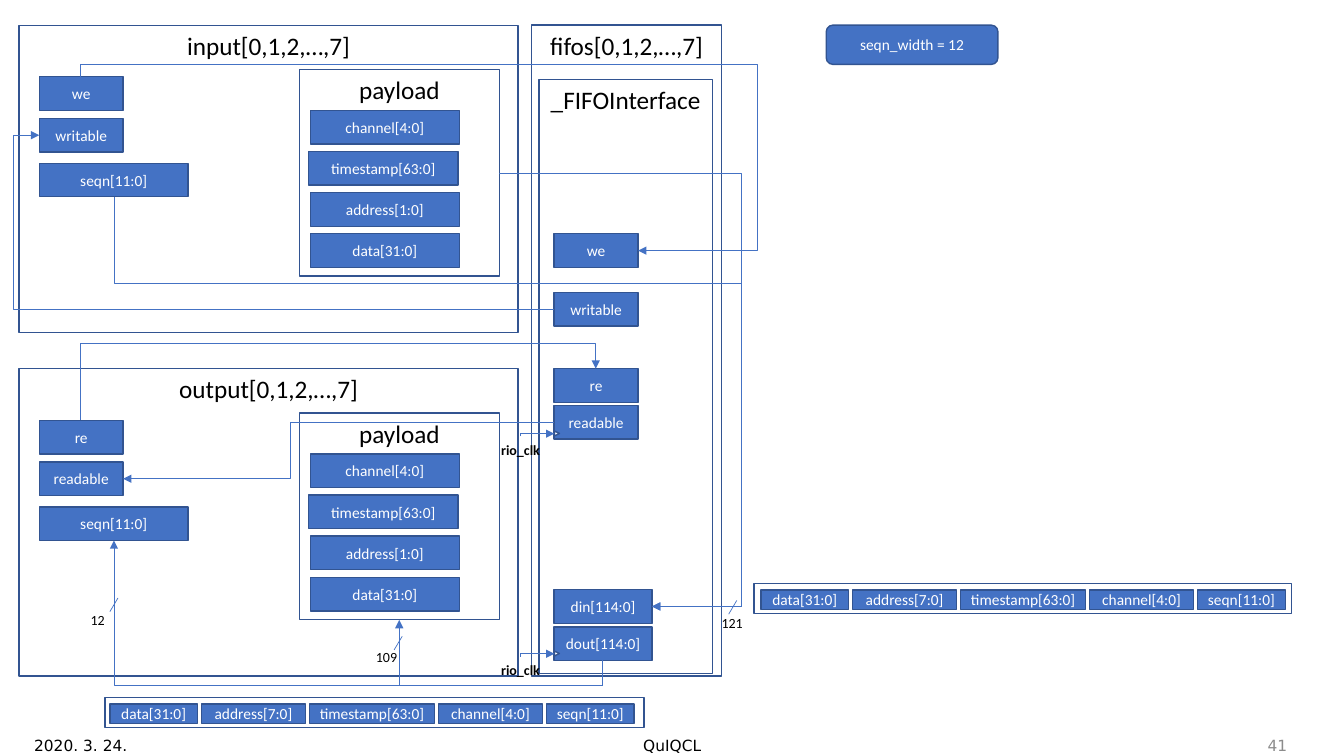
import lxml.etree
import pptx
import pptx.dml.color
import pptx.enum.shapes
import pptx.enum.text
import pptx.oxml.ns
import pptx.util

Pt = pptx.util.Pt
ALIGN = pptx.enum.text.PP_ALIGN
ANCHOR = pptx.enum.text.MSO_ANCHOR
SHAPE = pptx.enum.shapes.MSO_SHAPE
CONNECTOR = pptx.enum.shapes.MSO_CONNECTOR
qn = pptx.oxml.ns.qn

COLORS = {"blue": "4472C4", "outline": "325491", "black": "000000",
          "white": "FFFFFF", "gray": "8C8C8C"}


class Diagram:
    font = "Calibri"
    chip_height = 24

    def __init__(self, slide):
        self.slide = slide

    def color(self, name):
        return pptx.dml.color.RGBColor.from_string(COLORS[name])

    def add_text(self, shape, text, size, color, align, bold=False, font=None):
        paragraph = shape.text_frame.paragraphs[0]
        paragraph.alignment = align
        run = paragraph.add_run()
        run.text = text
        run.font.name = font or self.font
        run.font.size = Pt(size)
        run.font.bold = bold
        run.font.color.rgb = self.color(color)

    def box(self, kind, left, top, width, height, fill=None):
        shape = self.slide.shapes.add_shape(kind, Pt(left), Pt(top), Pt(width), Pt(height))
        shape.shadow.inherit = False
        if fill:
            shape.fill.solid()
            shape.fill.fore_color.rgb = self.color(fill)
        else:
            shape.fill.background()
        shape.line.color.rgb = self.color("outline")
        shape.line.width = Pt(1)
        return shape

    def frame(self, left, top, width, height, title=None):
        shape = self.box(SHAPE.RECTANGLE, left, top, width, height)
        shape.text_frame.vertical_anchor = ANCHOR.TOP
        if title:
            self.add_text(shape, title, 18, "black", ALIGN.CENTER)

    def chip(self, text, left, top, width, height=chip_height, kind=SHAPE.RECTANGLE):
        shape = self.box(kind, left, top, width, height, "blue")
        shape.text_frame.vertical_anchor = ANCHOR.MIDDLE
        self.add_text(shape, text, 11, "white", ALIGN.CENTER)

    def label(self, text, left, top, width, height=19.4, size=10, color="black",
              align=ALIGN.LEFT, anchor=ANCHOR.TOP, wrap=False, bold=False, font=None):
        shape = self.slide.shapes.add_textbox(Pt(left), Pt(top), Pt(width), Pt(height))
        shape.text_frame.word_wrap = wrap
        shape.text_frame.vertical_anchor = anchor
        self.add_text(shape, text, size, color, align, bold, font)

    def line(self, kind, start, end):
        connector = self.slide.shapes.add_connector(
            kind, Pt(start[0]), Pt(start[1]), Pt(end[0]), Pt(end[1]))
        connector.line.color.rgb = self.color("blue")
        connector.line.width = Pt(0.5)
        lxml.etree.SubElement(connector._element.spPr, qn("a:effectLst"))
        return connector

    def wire(self, *points):
        (x1, y1), (x2, y2) = points[0], points[-1]
        dx, dy = x2 - x1, y2 - y1
        corners = points[1:-1]
        vertical = corners[0][0] == x1
        if vertical:
            width, height = abs(dy), abs(dx)
            left, top = (x1 + x2 - width) / 2, (y1 + y2 - height) / 2
            connector = self.line(CONNECTOR.ELBOW, (left, top), (left + width, top + height))
            transform = connector._element.spPr.find(qn("a:xfrm"))
            transform.set("rot", "16200000" if dy > 0 else "5400000")
            transform.set("flipH", "1")
            if (dx > 0) != (dy > 0):
                transform.set("flipV", "1")
        else:
            connector = self.line(CONNECTOR.ELBOW, points[0], points[-1])
        geometry = connector._element.spPr.find(qn("a:prstGeom"))
        geometry.set("prst", f"bentConnector{len(corners) + 1}")
        across, down = (corners[0][0] - x1) / dx, (corners[0][1] - y1) / dy
        ratios = [down if vertical else across]
        if len(corners) == 3:
            ratios.append((corners[1][0] - x1) / dx if vertical else (corners[1][1] - y1) / dy)
        if len(corners) > 1:
            guides = geometry.find(qn("a:avLst"))
            for number, ratio in enumerate(ratios, 1):
                lxml.etree.SubElement(guides, qn("a:gd"), name=f"adj{number}",
                                      fmla=f"val {round(ratio * 100000)}")
        outline = connector._element.spPr.find(qn("a:ln"))
        lxml.etree.SubElement(outline, qn("a:tailEnd"), type="triangle")

    def bus_width(self, text, x, y, label_left, label_top, label_width):
        self.line(CONNECTOR.STRAIGHT, (x + 2.9, y - 4.9), (x - 2.9, y + 4.9))
        self.label(text, label_left, label_top, label_width)

    def port_panel(self, title, top, flags):
        self.frame(13.7, top, 356.4, 219.6, title)
        for row, flag in enumerate(flags):
            self.chip(flag, 28, top + 36.8 + 29.8 * row, 60)
        self.chip("seqn[11:0]", 28.3, top + 98.6, 106)
        self.frame(213.8, top + 31.7, 143, 147.6, "payload")
        fields = ["channel[4:0]", "timestamp[63:0]", "address[1:0]", "data[31:0]"]
        for row, field in enumerate(fields):
            left = 220.5 if row == 1 else 221.6
            self.chip(field, left, top + 60.8 + 29.4 * row, 106.6)

    def packet(self, left, top, width, inset):
        self.frame(left, top, width, 21.6)
        x = left + inset
        fields = [("data[31:0]", 62.6), ("address[7:0]", 74.2), ("timestamp[63:0]", 89.3),
                  ("channel[4:0]", 74.2), ("seqn[11:0]", 62.6)]
        for field, field_width in fields:
            self.chip(field, x, top + 4.6, field_width, 13.8)
            x += field_width + 2.9

    def clock(self, top):
        self.label("rio_clk", 339.8, top, 64, align=ALIGN.CENTER, wrap=True, bold=True)
        triangle = self.box(SHAPE.ISOSCELES_TRIANGLE, 396, top - 4, 3.6, 3.6, "white")
        triangle.rotation = 90
        self.wire((371.5, top), (371.5, top - 2), (396, top - 2))


def main():
    presentation = pptx.Presentation()
    presentation.slide_width, presentation.slide_height = Pt(960), Pt(540)
    diagram = Diagram(presentation.slides.add_slide(presentation.slide_layouts[6]))

    diagram.port_panel("input[0,1,2,…,7]", 18, ["we", "writable"])
    diagram.port_panel("output[0,1,2,…,7]", 263.4, ["re", "readable"])
    diagram.chip("seqn_width = 12", 590.2, 18, 122.6, 28, SHAPE.ROUNDED_RECTANGLE)

    diagram.frame(379.6, 18, 136, 465, "fifos[0,1,2,…,7]")
    diagram.frame(385, 57, 123.8, 424, "_FIFOInterface")
    for port, top, width in [("we", 167, 60), ("writable", 209, 60), ("re", 263.4, 60),
                             ("readable", 289.6, 60), ("din[114:0]", 421.2, 70),
                             ("dout[114:0]", 447.8, 70)]:
        diagram.chip(port, 395.8, top, width)
    for top in (311.8, 469):
        diagram.clock(top)

    diagram.packet(538.6, 416.8, 383.8, 5)
    diagram.packet(74.9, 498.2, 385.2, 3.6)

    din, dout = (465.8, 433.2), (430.6, 471.6)
    diagram.wire((81.6, 140.6), (81.6, 202.4), (529.6, 202.4), (529.6, 433.2), din)
    diagram.wire((356.6, 123.8), (529.6, 123.8), (529.6, 433.2), din)
    diagram.wire((395.8, 221), (9.6, 221), (9.6, 96.6), (28, 96.6))
    diagram.wire((57.6, 54.7), (57.6, 46), (541, 46), (541, 179), (455.8, 179))
    diagram.wire(dout, (430.6, 489.6), (285.2, 489.6), (285.2, 442.8))
    diagram.wire(dout, (430.6, 489.6), (81.4, 489.6), (81.4, 386))
    diagram.wire((395.8, 301.6), (207.4, 301.6), (207.4, 342), (88, 342))
    diagram.wire((57.6, 300.2), (57.6, 245.4), (425.6, 245.4), (425.6, 263.4))

    diagram.bus_width("121", 523.4, 433.8, 508.3, 435.6, 30.2)
    diagram.bus_width("109", 284.4, 459.4, 261.4, 460, 30.2)
    diagram.bus_width("12", 81.4, 432, 57.6, 433.4, 25.2)

    for text, left, width, align, color in [("2020. 3. 24.", 17.3, 216, ALIGN.LEFT, "black"),
                                            ("QuIQCL", 318.2, 324, ALIGN.CENTER, "black"),
                                            ("41", 710.6, 216, ALIGN.RIGHT, "gray")]:
        diagram.label(text, left, 517.7, width, 28.8, 11, color, align,
                      ANCHOR.MIDDLE, True, font="DejaVu Sans")

    presentation.save("out.pptx")


if __name__ == "__main__":
    main()
